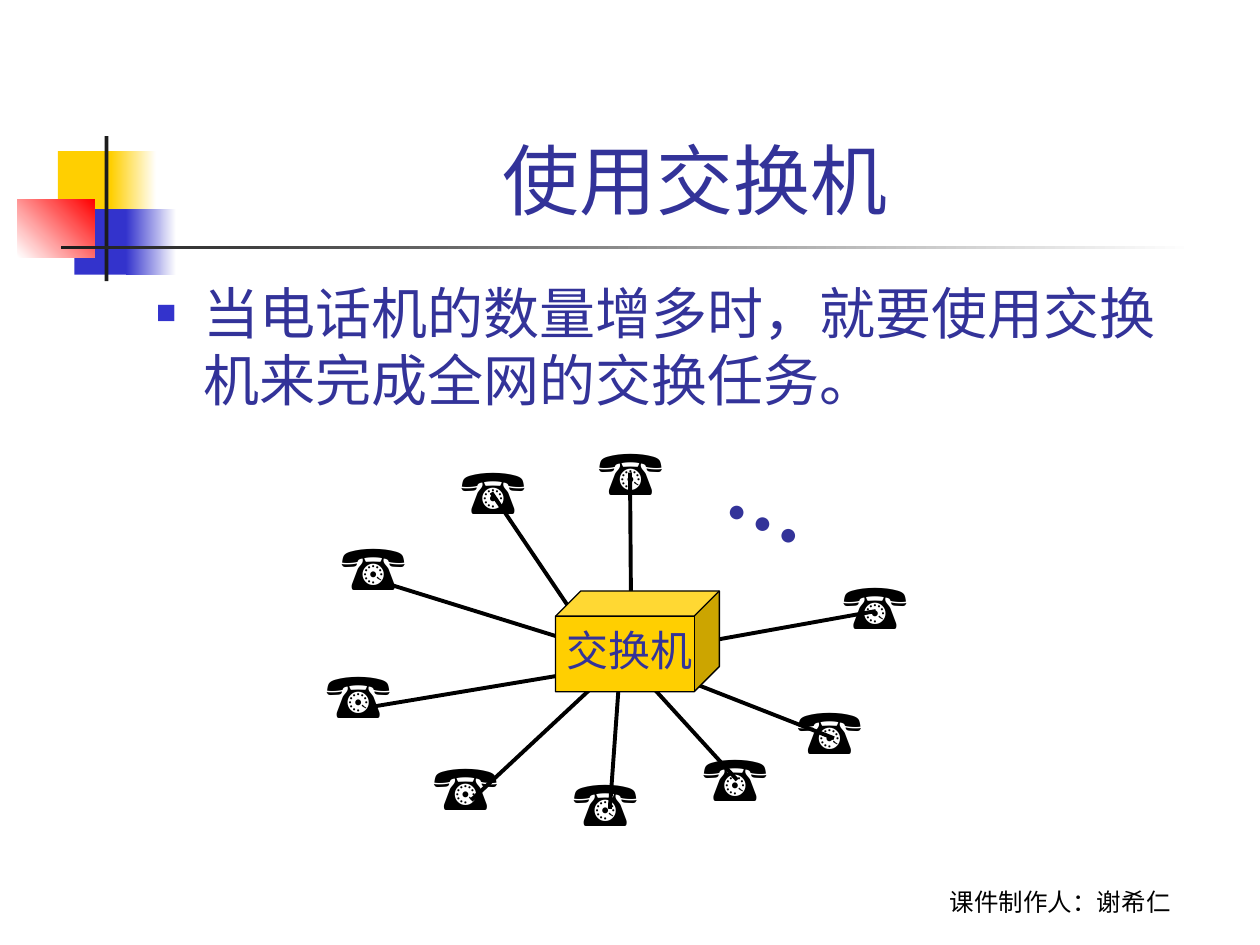
from dataclasses import dataclass

from lxml.etree import SubElement
from pptx import Presentation
from pptx.dml.color import RGBColor
from pptx.enum.shapes import MSO_CONNECTOR, MSO_SHAPE
from pptx.enum.text import MSO_ANCHOR, MSO_AUTO_SIZE, PP_ALIGN
from pptx.oxml.ns import qn
from pptx.util import Pt

COLORS = {
    "yellow": "FFCF01",
    "blue": "3333CC",
    "red": "FF0000",
    "white": "FFFFFF",
    "charcoal": "1C1C1C",
    "black": "000000",
    "navy": "333399",
}


@dataclass(frozen=True)
class Block:
    """Decorative rectangle; fades from color to fade when fade is given."""
    left: float
    top: float
    width: float
    height: float
    color: str
    fade: str | None = None
    angle: float = 0


@dataclass(frozen=True)
class Telephone:
    left: float
    top: float
    wire_start: tuple[float, float]
    wire_end: tuple[float, float]


BLOCKS = [
    Block(33.1, 86.4, 34.6, 37.4, "yellow"),
    Block(63.4, 86.4, 25.9, 37.4, "yellow", "white"),
    Block(42.5, 119.5, 33.1, 37.4, "blue"),
    Block(72, 119.5, 28.8, 37.4, "blue", "white"),
    Block(10.1, 113.8, 43.9, 33.1, "white", "red", 45),
    Block(59.8, 77.8, 2.2, 82.8, "charcoal"),
    Block(34.6, 140.4, 648, 2.2, "charcoal", "white"),
]

# Clockwise from the top
TELEPHONES = [
    Telephone(334.8, 243.4, (360, 270), (360.7, 360.7)),
    Telephone(474.5, 320.4, (500.4, 349.2), (388.1, 369.4)),
    Telephone(448.6, 391.7, (476.6, 421.9), (377.3, 383)),
    Telephone(394.6, 418.3, (421.2, 445.7), (354.2, 372.2)),
    Telephone(320.4, 432.7, (348.5, 462.2), (354.2, 383)),
    Telephone(240.5, 423.4, (269.3, 457.2), (342.7, 388.8)),
    Telephone(179.3, 370.8, (212.4, 403.9), (337.7, 383)),
    Telephone(187.9, 298.1, (218.2, 332.6), (334.1, 368.6)),
    Telephone(256.3, 254.2, (280.8, 281.5), (329, 352.8)),
]


def rgb(name: str) -> RGBColor:
    return RGBColor.from_string(COLORS[name])


def add_text(slide, text: str, left: float, top: float, width: float, height: float, *,
             size: float, font: str = "Arial", color: str = "navy", bold: bool = False,
             align=PP_ALIGN.LEFT, anchor=MSO_ANCHOR.TOP, wrap: bool = True,
             rotation: float = 0):
    """Add a one-paragraph text box and return its paragraph."""
    box = slide.shapes.add_textbox(Pt(left), Pt(top), Pt(width), Pt(height))
    box.rotation = rotation
    frame = box.text_frame
    frame.word_wrap = wrap
    frame.auto_size = MSO_AUTO_SIZE.NONE if wrap else MSO_AUTO_SIZE.SHAPE_TO_FIT_TEXT
    frame.vertical_anchor = anchor
    paragraph = frame.paragraphs[0]
    paragraph.alignment = align
    run = paragraph.add_run()
    run.text = text
    run.font.size = Pt(size)
    run.font.name = font
    run.font.bold = bold
    run.font.color.rgb = rgb(color)
    return paragraph


def add_square_bullet(paragraph, color: str, indent: float) -> None:
    properties = paragraph._p.get_or_add_pPr()
    properties.set("marL", str(Pt(indent)))
    properties.set("indent", str(-Pt(indent)))
    bullet_color = SubElement(properties, qn("a:buClr"))
    SubElement(bullet_color, qn("a:srgbClr"), val=COLORS[color])
    SubElement(properties, qn("a:buSzPct"), val="60000")
    SubElement(properties, qn("a:buFont"), typeface="Arial")
    SubElement(properties, qn("a:buChar"), char="■")


def add_block(slide, block: Block) -> None:
    shape = slide.shapes.add_shape(MSO_SHAPE.RECTANGLE, Pt(block.left), Pt(block.top),
                                   Pt(block.width), Pt(block.height))
    shape.shadow.inherit = False
    shape.line.fill.background()
    if block.fade is None:
        shape.fill.solid()
        shape.fill.fore_color.rgb = rgb(block.color)
        return
    shape.fill.gradient()
    shape.fill.gradient_angle = block.angle
    for stop, color in zip(shape.fill.gradient_stops, (block.color, block.fade)):
        stop.color.rgb = rgb(color)


def add_wire(slide, start: tuple[float, float], end: tuple[float, float]) -> None:
    wire = slide.shapes.add_connector(MSO_CONNECTOR.STRAIGHT, *map(Pt, start + end))
    wire.line.color.rgb = rgb("black")
    wire.line.width = Pt(2.25)
    SubElement(wire._element.spPr, qn("a:effectLst"))


def add_switch(slide) -> None:
    cube = slide.shapes.add_shape(MSO_SHAPE.CUBE, Pt(317.5), Pt(337.7), Pt(93.6), Pt(57.6))
    cube.shadow.inherit = False
    cube.adjustments[0] = 0.25
    cube.fill.solid()
    cube.fill.fore_color.rgb = rgb("yellow")
    cube.line.color.rgb = rgb("black")
    cube.line.width = Pt(0.75)
    add_text(slide, "交换机", 316.8, 353.5, 86.4, 36, size=24,
             font="Times New Roman", wrap=False)


def main() -> None:
    presentation = Presentation()
    presentation.slide_width, presentation.slide_height = Pt(720), Pt(540)
    slide = presentation.slides.add_slide(presentation.slide_layouts[6])

    for block in BLOCKS:
        add_block(slide, block)

    add_text(slide, "课件制作人：谢希仁", 491.8, 491, 228.2, 36, size=14, font="Karla",
             color="black", align=PP_ALIGN.CENTER, anchor=MSO_ANCHOR.BOTTOM)
    add_text(slide, "使用交换机", 90.7, 16.6, 613.4, 115.2, size=44,
             align=PP_ALIGN.CENTER, anchor=MSO_ANCHOR.BOTTOM)
    statement = add_text(slide, "当电话机的数量增多时，就要使用交换机来完成全网的交换任务。",
                         82.1, 155.5, 612, 324, size=32)
    statement.space_before = Pt(8)
    add_square_bullet(statement, "blue", 27)

    add_text(slide, "…", 411.1, 252.7, 61.9, 64.8, size=48, font="Times New Roman",
             bold=True, wrap=False, rotation=24.3)
    for telephone in TELEPHONES:
        add_wire(slide, telephone.wire_start, telephone.wire_end)
    for telephone in TELEPHONES:
        add_text(slide, "☎", telephone.left, telephone.top, 61.2, 50.4, size=36,
                 color="black", wrap=False)
    add_switch(slide)

    presentation.save("out.pptx")


if __name__ == "__main__":
    main()
